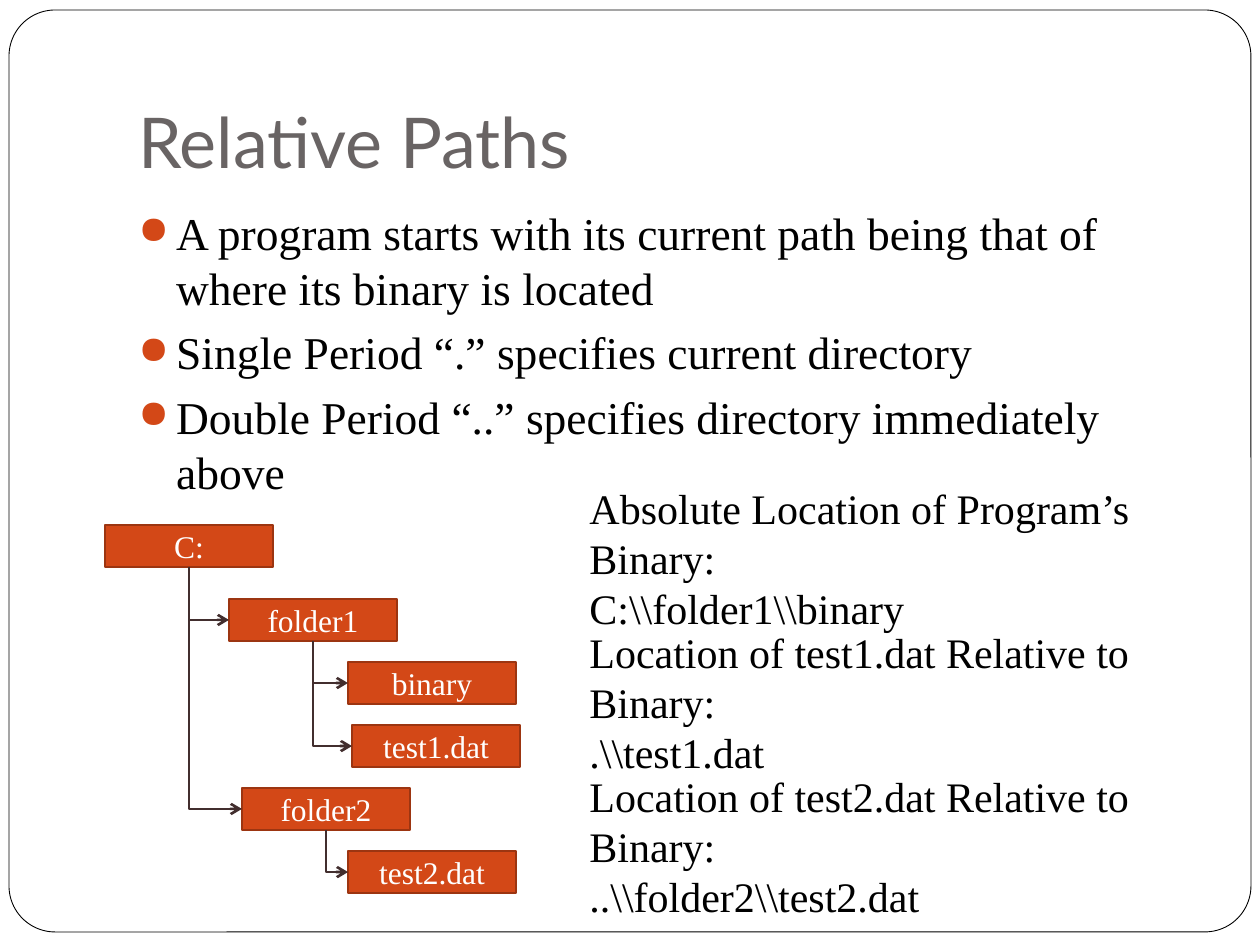
from lxml import etree
from pptx import Presentation, util as u
from pptx.dml.color import RGBColor
from pptx.enum import shapes, text
from pptx.oxml.ns import qn

SCALE = 914400 / 126
INK, ACCENT, EDGE, ARROW = "000000", "D34817", "9C3511", "422E2E"


def px(length):
    """Turn pixels into EMU."""
    return u.Emu(round(length * SCALE))


def colour(code):
    """Turn a hex string into a colour."""
    return RGBColor.from_string(code)


def add_child(parent, tag, **attributes):
    """Append an XML element with the given attributes."""
    child = etree.SubElement(parent, qn(tag))
    for name, value in attributes.items():
        child.set(name, str(value))
    return child


class Deck:
    """Holds the style and the current slide."""

    font = "Times New Roman"

    def __init__(self, width, height):
        """Start a presentation with one blank slide."""
        self.presentation = Presentation()
        self.presentation.slide_width = px(width)
        self.presentation.slide_height = px(height)
        self.slide = self.presentation.slides.add_slide(self.presentation.slide_layouts[6])

    def add_text(self, paragraph, words, size, ink, font=None):
        """Add one styled run."""
        run = paragraph.add_run()
        run.text = words
        run.font.size = u.Pt(size)
        run.font.name = font or self.font
        run.font.color.rgb = colour(ink)

    def box(self, kind, place, fill, line, weight):
        """Add a filled and outlined preset shape."""
        shape = self.slide.shapes.add_shape(kind, *map(px, place))
        shape.shadow.inherit = False
        shape.fill.solid()
        shape.fill.fore_color.rgb = colour(fill)
        shape.line.color.rgb = colour(line)
        shape.line.width = u.Pt(weight)
        return shape

    def node(self, label, left, top):
        """Add a labelled box of the folder tree."""
        shape = self.box(shapes.MSO_SHAPE.RECTANGLE, (left, top, 168, 42), ACCENT, EDGE, 1)
        frame = shape.text_frame
        frame.vertical_anchor = text.MSO_ANCHOR.MIDDLE
        paragraph = frame.paragraphs[0]
        paragraph.alignment = text.PP_ALIGN.CENTER
        self.add_text(paragraph, label, 18, "FFFFFF")
        return shape

    def branch(self, parent, child):
        """Join two boxes by an arrow that runs down, then right."""
        link = self.slide.shapes.add_connector(shapes.MSO_CONNECTOR.ELBOW, 0, 0, 0, 0)
        link.begin_connect(parent, 2)
        link.end_connect(child, 1)
        left, top = parent.left + parent.width // 2, parent.top + parent.height
        across, down = child.left - left, child.top + child.height // 2 - top
        link.left, link.top = left + (across - down) // 2, top + (down - across) // 2
        link.width, link.height = down, across
        link.line.color.rgb = colour(ARROW)
        link.line.width = u.Pt(1.5)
        properties = link._element.spPr
        properties.find(qn("a:prstGeom")).set("prst", "bentConnector2")
        frame = properties.find(qn("a:xfrm"))
        for name in ("flipH", "flipV"):
            frame.attrib.pop(name, None)
        frame.set("rot", "16200000")
        frame.set("flipH", "1")
        add_child(properties.find(qn("a:ln")), "a:tailEnd", type="arrow")
        add_child(properties, "a:effectLst")

    def words(self, place, lines, size, ink=INK, font=None):
        """Add a wrapping text box, one paragraph a line."""
        frame = self.slide.shapes.add_textbox(*map(px, place)).text_frame
        frame.word_wrap = True
        for number, line in enumerate(lines):
            paragraph = frame.add_paragraph() if number else frame.paragraphs[0]
            self.add_text(paragraph, line, size, ink, font)
        return frame

    def title(self, place, line):
        """Add the heading, set at the foot of its box."""
        frame = self.words(place, [line], 40, "696464", "Lato")
        frame.vertical_anchor = text.MSO_ANCHOR.BOTTOM
        frame.margin_bottom = u.Inches(0.1)

    def bullets(self, place, lines):
        """Add a bulleted list with hanging indents."""
        for paragraph in self.words(place, lines, 26).paragraphs:
            paragraph.space_before = u.Pt(5.8)
            properties = paragraph._p.get_or_add_pPr()
            properties.set("marL", str(u.Inches(0.3)))
            properties.set("indent", str(-u.Inches(0.3)))
            add_child(add_child(properties, "a:buClr"), "a:srgbClr", val=ACCENT)
            add_child(properties, "a:buSzPct", val=85000)
            add_child(properties, "a:buChar", char="●")


deck = Deck(1260, 945)
border = deck.box(shapes.MSO_SHAPE.ROUNDED_RECTANGLE, (9, 10, 1242, 922), "FFFFFF", INK, 0.5)
border.adjustments[0] = 0.05
deck.title((126, 38, 1071, 157), "Relative Paths")
deck.bullets((126, 199, 1071, 262), [
    "A program starts with its current path being that of where its binary is located",
    "Single Period “.” specifies current directory",
    "Double Period “..” specifies directory immediately above",
])

TREE = [
    ("C:", 105, 525, None),
    ("folder1", 229, 599, "C:"),
    ("folder2", 242, 788, "C:"),
    ("binary", 348, 662, "folder1"),
    ("test1.dat", 352, 725, "folder1"),
    ("test2.dat", 348, 851, "folder2"),
]
nodes = {label: deck.node(label, left, top) for label, left, top, _ in TREE}
for label, _, _, parent in TREE:
    if parent:
        deck.branch(nodes[parent], nodes[label])

LOCATIONS = [
    ("Absolute Location of Program’s Binary:", r"C:\\folder1\\binary"),
    ("Location of test1.dat Relative to Binary:", r".\\test1.dat"),
    ("Location of test2.dat Relative to Binary:", r"..\\folder2\\test2.dat"),
]
for row, lines in enumerate(LOCATIONS):
    deck.words((577, 476 + 144 * row, 634, 115), lines, 24)

deck.presentation.save("out.pptx")
